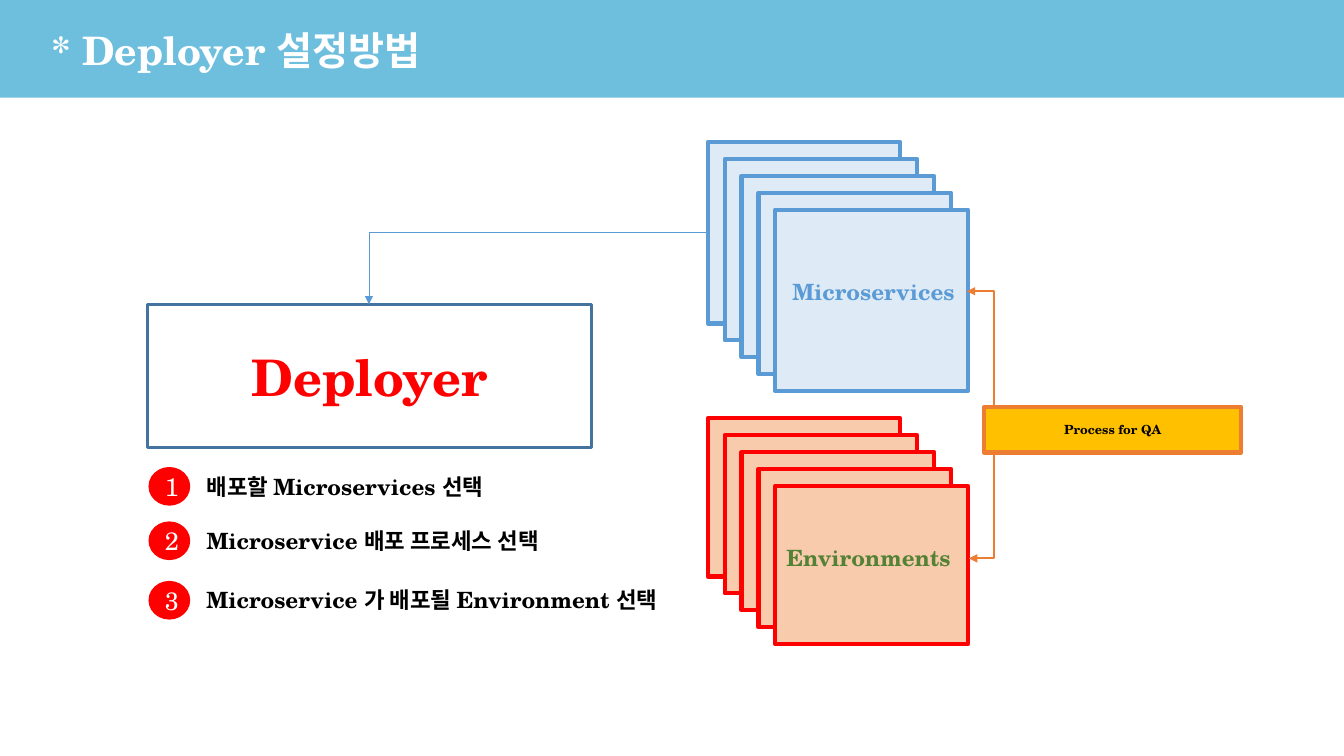
"""Build the Deployer setup slide."""
from dataclasses import dataclass

from lxml import etree
from pptx import Presentation
from pptx.dml.color import RGBColor
from pptx.enum.shapes import MSO_CONNECTOR, MSO_SHAPE
from pptx.enum.text import MSO_ANCHOR, PP_ALIGN
from pptx.oxml.ns import qn
from pptx.util import Inches, Pt

RECT, OVAL = MSO_SHAPE.RECTANGLE, MSO_SHAPE.OVAL
ELBOW = MSO_CONNECTOR.ELBOW
MIDDLE, TOP = MSO_ANCHOR.MIDDLE, MSO_ANCHOR.TOP
CENTER, LEFT = PP_ALIGN.CENTER, PP_ALIGN.LEFT
FONT = "TeX Gyre Schola"
COLORS = {
    "banner": "6EBFDE", "white": "FFFFFF", "black": "000000", "red": "FF0000",
    "navy": "43739E", "blue": "5B9BD5", "pale": "DEEBF7", "peach": "F8CBAD",
    "green": "548235", "orange": "ED7D31", "gold": "FFC000",
}
SHEETS = 5
SPREAD = 0.67


@dataclass
class Text:
    words: str
    size: float
    color: str
    bold: bool = True


@dataclass
class Box:
    left: float
    top: float
    width: float
    height: float
    fill: str = ""
    line: str = ""
    weight: float = 0
    text: Text | None = None
    kind: int = RECT


@dataclass
class Label:
    left: float
    top: float
    width: float
    text: Text
    height: float = 0.37
    anchor: int = TOP


@dataclass
class Link:
    start: tuple[float, float]
    end: tuple[float, float]
    color: str
    weight: float
    preset: str
    heads: tuple[str, ...]
    bend: int | None = None


@dataclass
class Step:
    top: float
    words: str
    width: float


def paint(name: str) -> RGBColor:
    return RGBColor.from_string(COLORS[name])


def write(frame, text: Text, align: int, anchor: int) -> None:
    frame.word_wrap = True
    frame.vertical_anchor = anchor
    frame.text = text.words
    line = frame.paragraphs[0]
    line.alignment = align
    font = line.runs[0].font
    font.name, font.size, font.bold = FONT, Pt(text.size), text.bold
    font.color.rgb = paint(text.color)


def draw_box(slide, box: Box) -> None:
    shape = slide.shapes.add_shape(
        box.kind, Inches(box.left), Inches(box.top),
        Inches(box.width), Inches(box.height))
    shape.shadow.inherit = False
    if box.fill:
        shape.fill.solid()
        shape.fill.fore_color.rgb = paint(box.fill)
    else:
        shape.fill.background()
    if box.line:
        shape.line.color.rgb = paint(box.line)
        shape.line.width = Pt(box.weight)
    else:
        shape.line.fill.background()
    if box.text:
        write(shape.text_frame, box.text, CENTER, MIDDLE)


def draw_label(slide, label: Label) -> None:
    shape = slide.shapes.add_textbox(
        Inches(label.left), Inches(label.top),
        Inches(label.width), Inches(label.height))
    write(shape.text_frame, label.text, LEFT, label.anchor)


def draw_stack(slide, top: float, height: float, fill: str, line: str) -> None:
    for i in range(SHEETS):
        shift = SPREAD * i / (SHEETS - 1)
        draw_box(slide, Box(7.02 + shift, top + shift, 1.91, height, fill, line, 3))


def draw_link(slide, link: Link) -> None:
    ends = [Inches(n) for n in link.start + link.end]
    shape = slide.shapes.add_connector(ELBOW, *ends)
    shape.line.color.rgb = paint(link.color)
    shape.line.width = Pt(link.weight)
    props = shape._element.spPr
    form = props.find(qn("a:prstGeom"))
    form.set("prst", link.preset)
    if link.bend is not None:
        guides = form.find(qn("a:avLst"))
        if guides is None:
            guides = etree.SubElement(form, qn("a:avLst"))
        etree.SubElement(guides, qn("a:gd"), name="adj1", fmla=f"val {link.bend}")
    for head in link.heads:
        etree.SubElement(props.find(qn("a:ln")), qn(f"a:{head}"), type="triangle")
    etree.SubElement(props, qn("a:effectLst"))


def draw_step(slide, count: int, step: Step) -> None:
    draw_label(slide, Label(1.95, step.top, step.width, Text(step.words, 16, "black")))
    mark = Text(str(count), 18, "white", False)
    draw_box(slide, Box(1.48, step.top, 0.4, 0.37, "red", "red", 1, mark, OVAL))


STEPS = [
    Step(4.64, "배포할 Microservices 선택", 3.38),
    Step(5.18, "Microservice 배포 프로세스 선택", 3.88),
    Step(5.77, "Microservice 가 배포될 Environment 선택", 4.83),
]


def main() -> None:
    deck = Presentation()
    deck.slide_width, deck.slide_height = Inches(13.33), Inches(7.5)
    slide = deck.slides.add_slide(deck.slide_layouts[6])

    draw_box(slide, Box(0, 0, 13.33, 0.97, "banner"))
    title = Text("* Deployer 설정방법", 28, "white")
    draw_label(slide, Label(0.41, 0.2, 10.62, title, 0.58, MIDDLE))
    draw_box(slide, Box(1.46, 3.02, 4.41, 1.42, "", "navy", 2,
                        Text("Deployer", 36, "red")))

    draw_stack(slide, 1.41, 1.8, "pale", "blue")
    draw_link(slide, Link((7.02, 2.31), (3.66, 3.02), "blue", 0.5,
                          "bentConnector2", ("tailEnd",)))
    draw_stack(slide, 4.15, 1.57, "peach", "red")
    draw_label(slide, Label(7.7, 5.35, 1.91, Text("Environments", 16, "green")))
    draw_label(slide, Label(7.76, 2.71, 1.83, Text("Microservices", 16, "blue")))
    draw_link(slide, Link((9.61, 5.54), (9.59, 2.89), "orange", 1.5,
                          "bentConnector3", ("headEnd", "tailEnd"), -1250000))

    for count, step in enumerate(STEPS, 1):
        draw_step(slide, count, step)
    draw_box(slide, Box(9.76, 4.04, 2.55, 0.45, "gold", "orange", 3,
                        Text("Process for QA", 9, "black")))
    deck.save("out.pptx")


if __name__ == "__main__":
    main()
